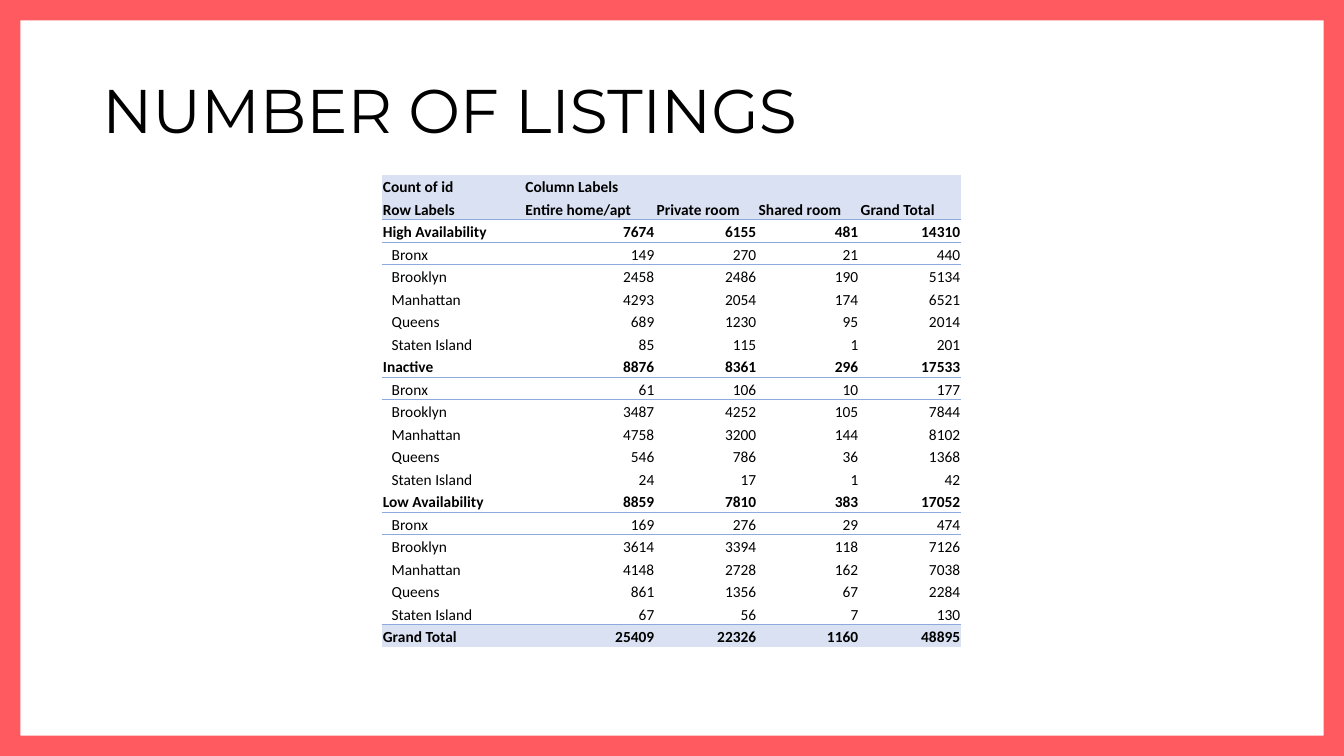
import pptx
import pptx.util
import pptx.dml.color
import pptx.enum.shapes
import pptx.enum.text
import pptx.oxml.ns
import lxml.etree

Cm, Pt = pptx.util.Cm, pptx.util.Pt
RGBColor = pptx.dml.color.RGBColor
PP_ALIGN = pptx.enum.text.PP_ALIGN
MSO_ANCHOR = pptx.enum.text.MSO_ANCHOR

CORAL = RGBColor(0xFF, 0x5A, 0x5F)
BLACK = RGBColor(0x00, 0x00, 0x00)
PALE_BLUE = RGBColor(0xD9, 0xE1, 0xF2)
RULE_BLUE = RGBColor(0x8E, 0xA9, 0xDB)

TITLE = "NUMBER OF LISTINGS"
HEADERS = [
    ["Count of id", "Column Labels", "", "", ""],
    ["Row Labels", "Entire home/apt", "Private room", "Shared room", "Grand Total"],
]
BOROUGHS = ["Bronx", "Brooklyn", "Manhattan", "Queens", "Staten Island"]
LISTINGS = {
    "High Availability": [(149, 270, 21), (2458, 2486, 190), (4293, 2054, 174),
                          (689, 1230, 95), (85, 115, 1)],
    "Inactive": [(61, 106, 10), (3487, 4252, 105), (4758, 3200, 144),
                 (546, 786, 36), (24, 17, 1)],
    "Low Availability": [(169, 276, 29), (3614, 3394, 118), (4148, 2728, 162),
                         (861, 1356, 67), (67, 56, 7)],
}
COLUMN_WIDTHS = [3.59, 3.31, 2.57, 2.57, 2.57]
TABLE_LEFT, TABLE_TOP, TABLE_HEIGHT = 9.62, 4.4, 11.91
NO_STYLE = "{2D5ABB26-0587-4C30-8999-92F81FD0307C}"


def with_total(label, counts):
    return [label, *counts, sum(counts)]


def column_sums(rows):
    return [sum(column) for column in zip(*rows)]


def add_rule(cell, side):
    pr = cell._tc.get_or_add_tcPr()
    ln = lxml.etree.Element(pptx.oxml.ns.qn("a:" + side), w=str(Pt(0.5)))
    fill = lxml.etree.SubElement(ln, pptx.oxml.ns.qn("a:solidFill"))
    lxml.etree.SubElement(fill, pptx.oxml.ns.qn("a:srgbClr"), val=str(RULE_BLUE))
    pr.insert(0, ln)


def style_text(p, font, size, bold=False):
    p.font.name, p.font.size, p.font.bold = font, Pt(size), bold
    p.font.color.rgb = BLACK


rows = [("header", row) for row in HEADERS]
for group, counts in LISTINGS.items():
    rows.append(("group", with_total(group, column_sums(counts))))
    rows += [("borough", with_total(name, c)) for name, c in zip(BOROUGHS, counts)]
all_counts = sum(LISTINGS.values(), [])
rows.append(("total", with_total("Grand Total", column_sums(all_counts))))
ruled = {i for i, (kind, _) in enumerate(rows) if kind == "group"}
ruled |= {len(HEADERS) - 1, len(rows) - 2}

prs = pptx.Presentation()
prs.slide_width, prs.slide_height = Cm(33.87), Cm(19.05)
s = prs.slides.add_slide(prs.slide_layouts[6])

sp = s.shapes.add_shape(pptx.enum.shapes.MSO_SHAPE.FRAME, 0, 0,
                        prs.slide_width, prs.slide_height)
sp.adjustments[0] = 0.027
sp.shadow.inherit = False
sp.fill.solid()
sp.fill.fore_color.rgb = CORAL
sp.line.fill.background()

tf = s.shapes.add_textbox(Cm(2.33), Cm(1.01), Cm(29.21), Cm(3.68)).text_frame
tf.word_wrap = True
tf.vertical_anchor = MSO_ANCHOR.MIDDLE
p = tf.paragraphs[0]
p.text = TITLE
p.line_spacing = 0.9
style_text(p, "Montserrat", 44)

table = s.shapes.add_table(len(rows), len(COLUMN_WIDTHS), Cm(TABLE_LEFT), Cm(TABLE_TOP),
                           Cm(sum(COLUMN_WIDTHS)), Cm(TABLE_HEIGHT)).table
table.first_row = table.horz_banding = False
table._tbl.tblPr.find(pptx.oxml.ns.qn("a:tableStyleId")).text = NO_STYLE
for column, width in zip(table.columns, COLUMN_WIDTHS):
    column.width = Cm(width)

for i, (kind, values) in enumerate(rows):
    table.rows[i].height = Cm(TABLE_HEIGHT / len(rows))
    for j, value in enumerate(values):
        cell = table.cell(i, j)
        indented = kind == "borough" and j == 0
        cell.margin_left = Cm(0.25 if indented else 0.03)
        cell.margin_right = cell.margin_top = Cm(0.03)
        cell.margin_bottom = 0
        cell.vertical_anchor = MSO_ANCHOR.BOTTOM
        if kind in ("header", "total"):
            cell.fill.solid()
            cell.fill.fore_color.rgb = PALE_BLUE
        else:
            cell.fill.background()
        if i in ruled:
            add_rule(cell, "lnB")
        if i - 1 in ruled:
            add_rule(cell, "lnT")
        p = cell.text_frame.paragraphs[0]
        p.text = str(value)
        p.alignment = PP_ALIGN.RIGHT if isinstance(value, int) else PP_ALIGN.LEFT
        style_text(p, "Calibri", 11, kind != "borough")
        if not value:
            end = lxml.etree.SubElement(p._p, pptx.oxml.ns.qn("a:endParaRPr"))
            end.set("sz", "1100")

prs.save("out.pptx")
